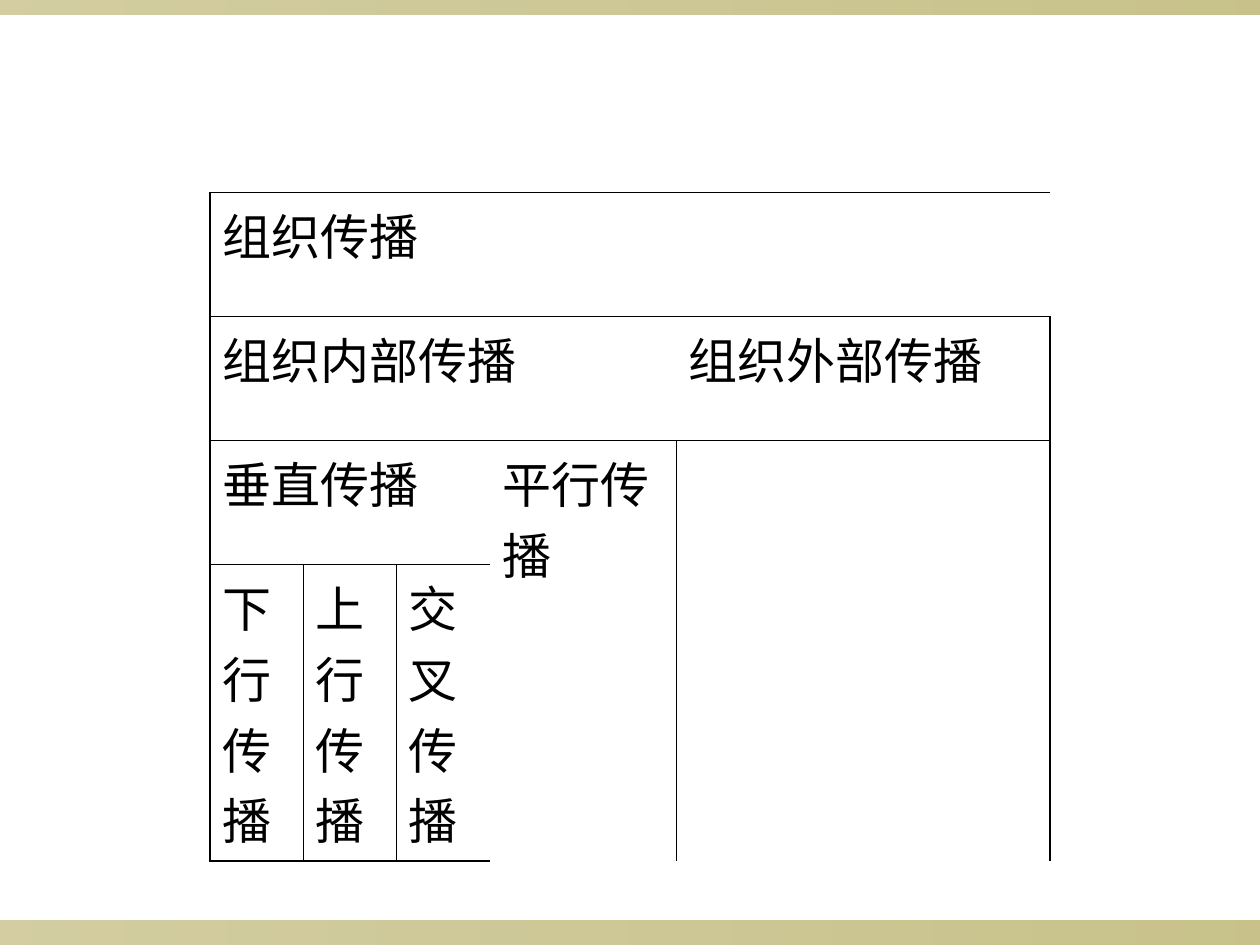
"""Build a slide with a table that classifies organisational communication."""
from dataclasses import dataclass

import pptx
import pptx.dml.color
import pptx.enum.shapes
import pptx.oxml
import pptx.oxml.ns
import pptx.util
from lxml import etree
from pptx.util import Cm


@dataclass(frozen=True)
class Theme:
    font: str = "Cabin"
    size: int = 28
    ink: str = "000000"
    band: str = "918415"
    band_alphas: tuple = (40, 50)
    outer: float = 1.08
    inner: float = 0.45


theme = Theme()
qn = pptx.oxml.ns.qn
rgb = pptx.dml.color.RGBColor.from_string


def add_border(cell, side, width):
    ln = etree.SubElement(cell._tc.get_or_add_tcPr(), qn(f"a:ln{side}"))
    if width is None:
        etree.SubElement(ln, qn("a:noFill"))
        return
    ln.set("w", str(pptx.util.Pt(width)))
    fill = etree.SubElement(ln, qn("a:solidFill"))
    etree.SubElement(fill, qn("a:srgbClr"), val=theme.ink)


prs = pptx.Presentation()
prs.slide_width, prs.slide_height = Cm(25.4), Cm(19.05)
s = prs.slides.add_slide(prs.slide_layouts[6])

for top, height in ((18.55, 0.5), (0, 0.3)):
    sp = s.shapes.add_shape(pptx.enum.shapes.MSO_SHAPE.RECTANGLE,
                            0, Cm(top), prs.slide_width, Cm(height))
    sp.shadow.inherit = False
    sp.line.fill.background()
    sp.fill.gradient()
    sp.fill.gradient_angle = 0
    for stop in sp.fill.gradient_stops:
        stop.color.rgb = rgb(theme.band)
    for clr, alpha in zip(sp._element.iter(qn("a:srgbClr")), theme.band_alphas):
        etree.SubElement(clr, qn("a:alpha"), val=str(alpha * 1000))

widths = [1.88, 1.88, 1.88, 3.76, 7.53]
heights = [2.5, 2.5, 2.5, 5.97]
regions = [
    ("组织传播", 0, 0, 1, 5),
    ("组织内部传播", 1, 0, 1, 4),
    ("组织外部传播", 1, 4, 1, 1),
    ("垂直传播", 2, 0, 1, 3),
    ("平行传播", 2, 3, 2, 1),
    ("", 2, 4, 2, 1),
    ("下行传播", 3, 0, 1, 1),
    ("上行传播", 3, 1, 1, 1),
    ("交叉传播", 3, 2, 1, 1),
]
rows, cols = len(heights), len(widths)
table = s.shapes.add_table(rows, cols, Cm(4.23), Cm(3.88),
                           Cm(sum(widths)), Cm(sum(heights))).table
table.first_row = table.horz_banding = False
for column, width in zip(table.columns, widths):
    column.width = Cm(width)
for row, height in zip(table.rows, heights):
    row.height = Cm(height)

for text, top, left, row_span, col_span in regions:
    bottom, right = top + row_span, left + col_span
    origin = table.cell(top, left)
    if row_span * col_span > 1:
        origin.merge(table.cell(bottom - 1, right - 1))
    for i in range(top, bottom):
        for j in range(left, right):
            cell = table.cell(i, j)
            for side, on_edge, on_rim in (
                ("L", j == left, j == 0),
                ("R", j == right - 1, j == cols - 1),
                ("T", i == top, i == 0),
                ("B", i == bottom - 1, i == rows - 1),
            ):
                width = theme.outer if on_rim else theme.inner
                add_border(cell, side, width if on_edge else None)
            cell.fill.background()
    if text:
        p = origin.text_frame.paragraphs[0]
        p.text = text
        p.font.name = theme.font
        p.font.size = pptx.util.Pt(theme.size)
        p.font.color.rgb = rgb(theme.ink)

prs.save("out.pptx")
